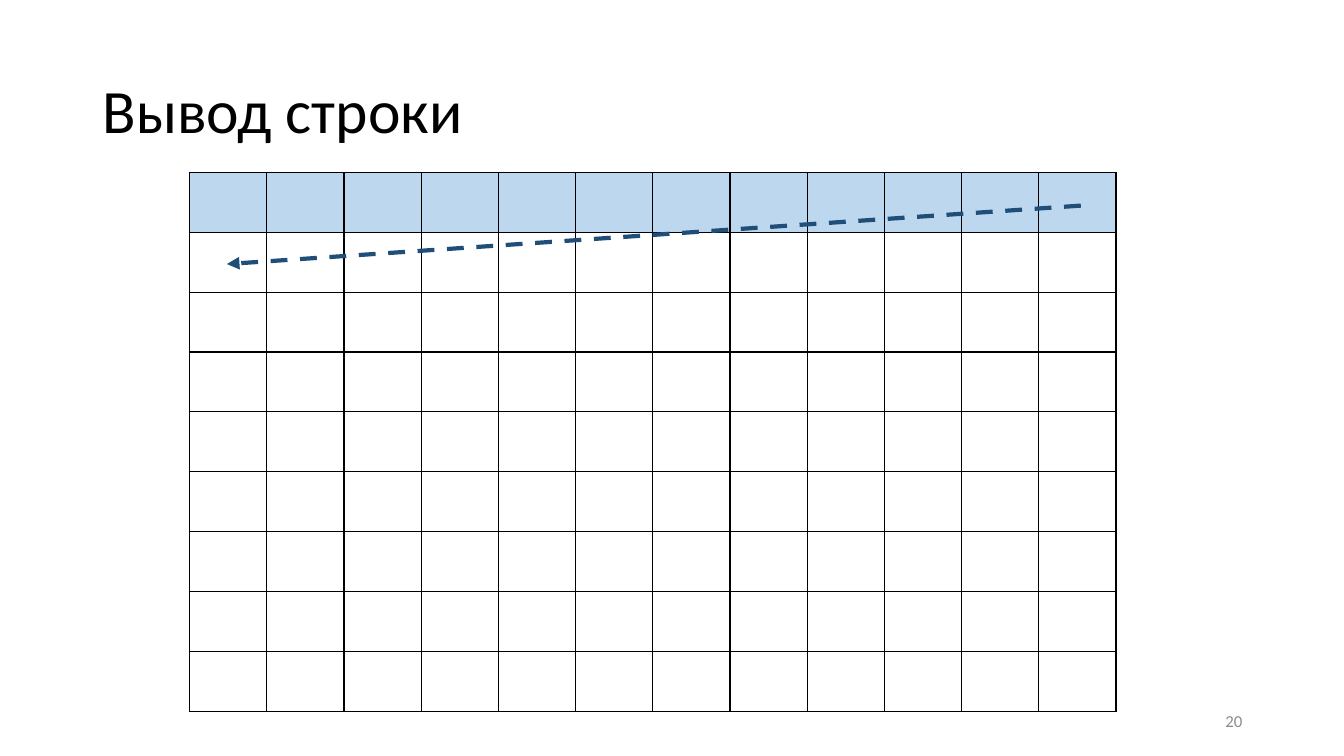
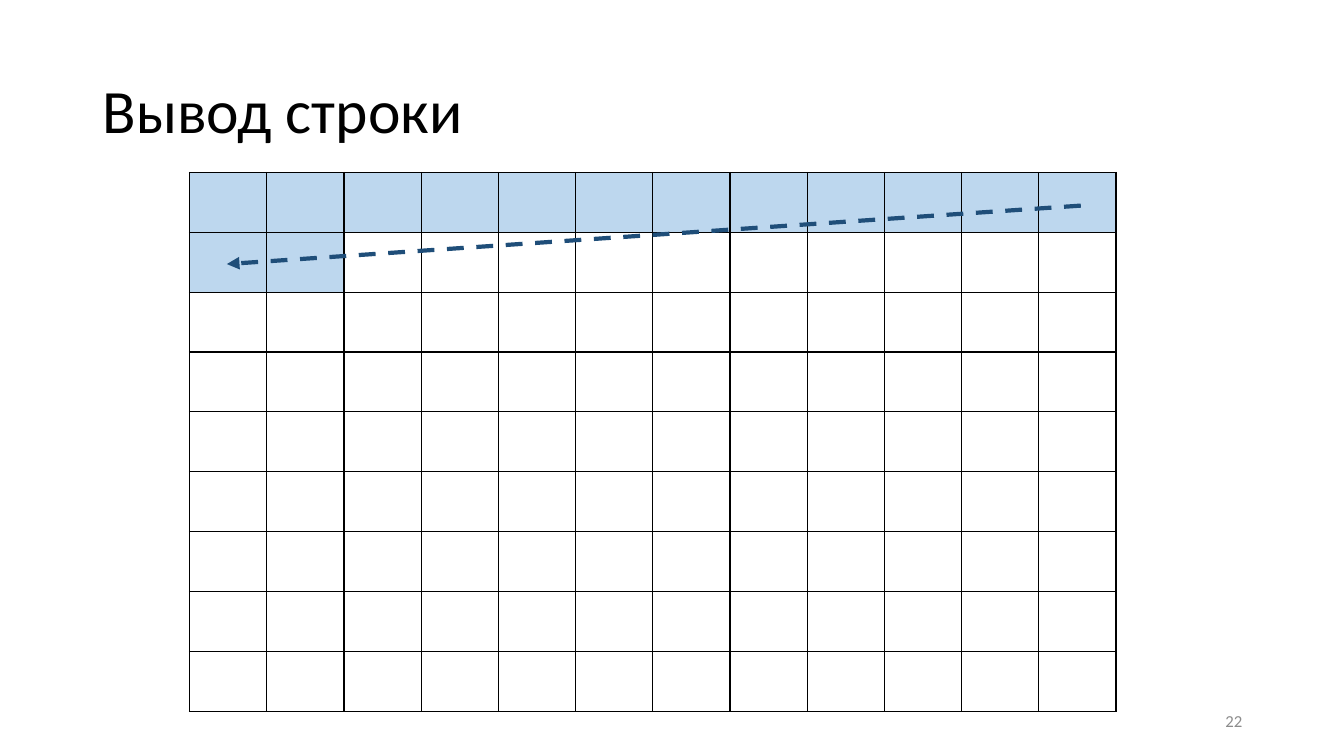
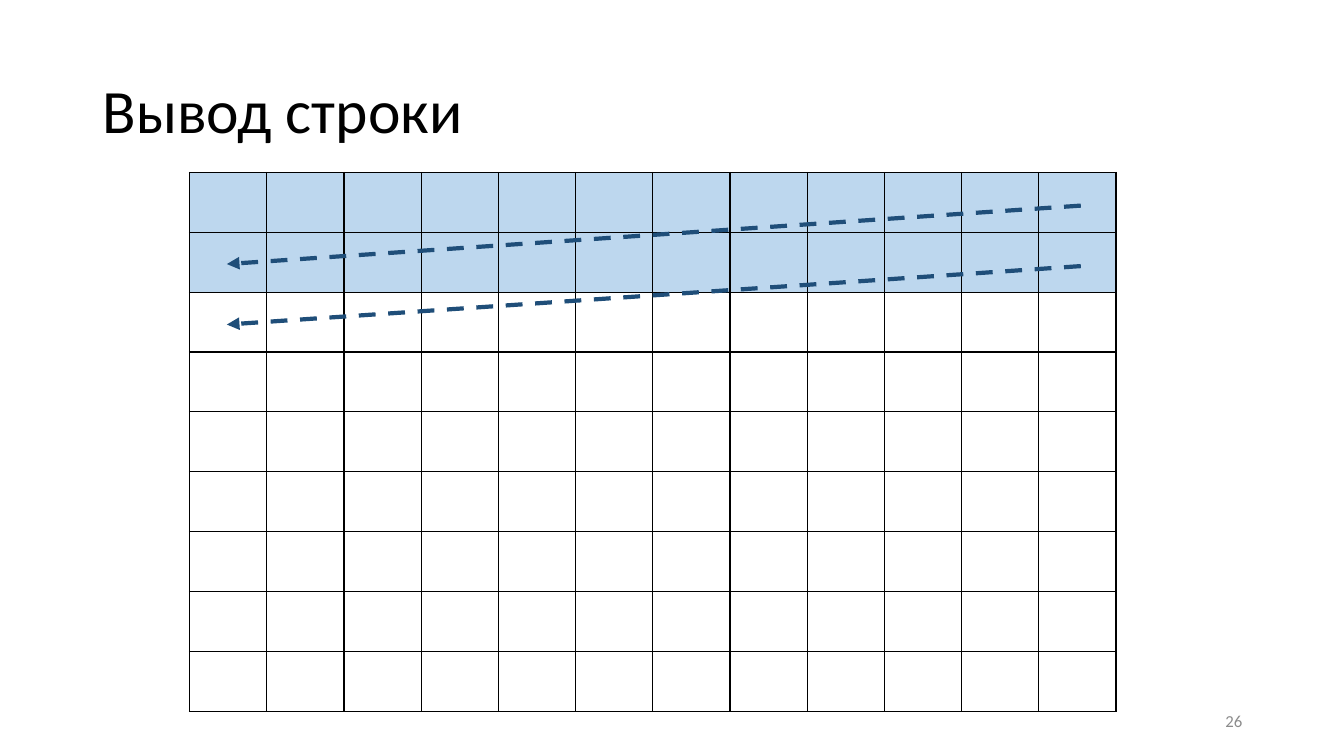
from dataclasses import dataclass

from lxml.etree import SubElement
from pptx import Presentation
from pptx.dml.color import RGBColor
from pptx.enum.dml import MSO_LINE
from pptx.enum.shapes import MSO_CONNECTOR
from pptx.enum.text import MSO_ANCHOR, PP_ALIGN
from pptx.oxml import parse_xml
from pptx.oxml.ns import nsdecls, qn
from pptx.util import Inches, Pt


@dataclass(frozen=True)
class Theme:
    font: str = "Calibri"
    text: str = "000000"
    muted: str = "8C8C8C"
    paper: str = "FFFFFF"
    filled: str = "BDD7EE"
    arrow: str = "1F4E79"
    grid: str = "000000"
    title_size: int = 44
    number_size: int = 12


THEME = Theme()
COLS, ROWS = 12, 9
GRID_LEFT, GRID_TOP, GRID_WIDTH, GRID_HEIGHT = 1.88, 1.71, 9.19, 5.35
ROW_STEP = 0.6
ARROW_RIGHT, ARROW_LEFT, ARROW_TOP, ARROW_DROP = 10.72, 2.25, 2.04, 0.58

# page number, count of cells already printed, count of line returns
FRAMES = [("20", COLS, 1), ("22", COLS + 2, 1), ("26", 2 * COLS, 2)]


def write(tf, text, size, color, align=PP_ALIGN.LEFT, spacing=1.0):
    tf.word_wrap = True
    tf.vertical_anchor = MSO_ANCHOR.MIDDLE
    p = tf.paragraphs[0]
    p.alignment = align
    p.line_spacing = spacing
    r = p.add_run()
    r.text = text
    r.font.name = THEME.font
    r.font.size = Pt(size)
    r.font.color.rgb = RGBColor.from_string(color)


def format_cell(cell, color):
    """Outline the cell on all four sides, then fill it."""
    tc_pr = cell._tc.get_or_add_tcPr()
    for side in ("lnL", "lnR", "lnT", "lnB"):
        tc_pr.append(parse_xml(
            f'<a:{side} {nsdecls("a")} w="{Pt(1)}"><a:solidFill>'
            f'<a:srgbClr val="{THEME.grid}"/></a:solidFill></a:{side}>'))
    cell.fill.solid()
    cell.fill.fore_color.rgb = RGBColor.from_string(color)


prs = Presentation()
prs.slide_width, prs.slide_height = Inches(13.33), Inches(7.5)

layout = prs.slide_layouts.get_by_name("Title Only")
title = layout.placeholders[0]
title.left, title.top = Inches(0.92), Inches(0.4)
title.width, title.height = Inches(11.5), Inches(1.45)

for number, printed, returns in FRAMES:
    s = prs.slides.add_slide(layout)
    write(s.shapes.title.text_frame, "Вывод строки", THEME.title_size,
          THEME.text, spacing=0.9)

    table = s.shapes.add_table(ROWS, COLS, Inches(GRID_LEFT), Inches(GRID_TOP),
                               Inches(GRID_WIDTH), Inches(GRID_HEIGHT)).table
    table.first_row = table.horz_banding = False
    for i, cell in enumerate(table.iter_cells()):
        format_cell(cell, THEME.filled if i < printed else THEME.paper)

    for row in range(returns):
        y = ARROW_TOP + row * ROW_STEP
        arrow = s.shapes.add_connector(
            MSO_CONNECTOR.STRAIGHT, Inches(ARROW_RIGHT), Inches(y),
            Inches(ARROW_LEFT), Inches(y + ARROW_DROP))
        arrow.line.color.rgb = RGBColor.from_string(THEME.arrow)
        arrow.line.width = Pt(3)
        arrow.line.dash_style = MSO_LINE.DASH
        sp_pr = arrow._element.spPr
        SubElement(sp_pr.find(qn("a:ln")), qn("a:tailEnd"), type="triangle")
        SubElement(sp_pr, qn("a:effectLst"))

    box = s.shapes.add_textbox(Inches(9.42), Inches(6.95), Inches(3), Inches(0.4))
    write(box.text_frame, number, THEME.number_size, THEME.muted,
          align=PP_ALIGN.RIGHT)

prs.save("out.pptx")
